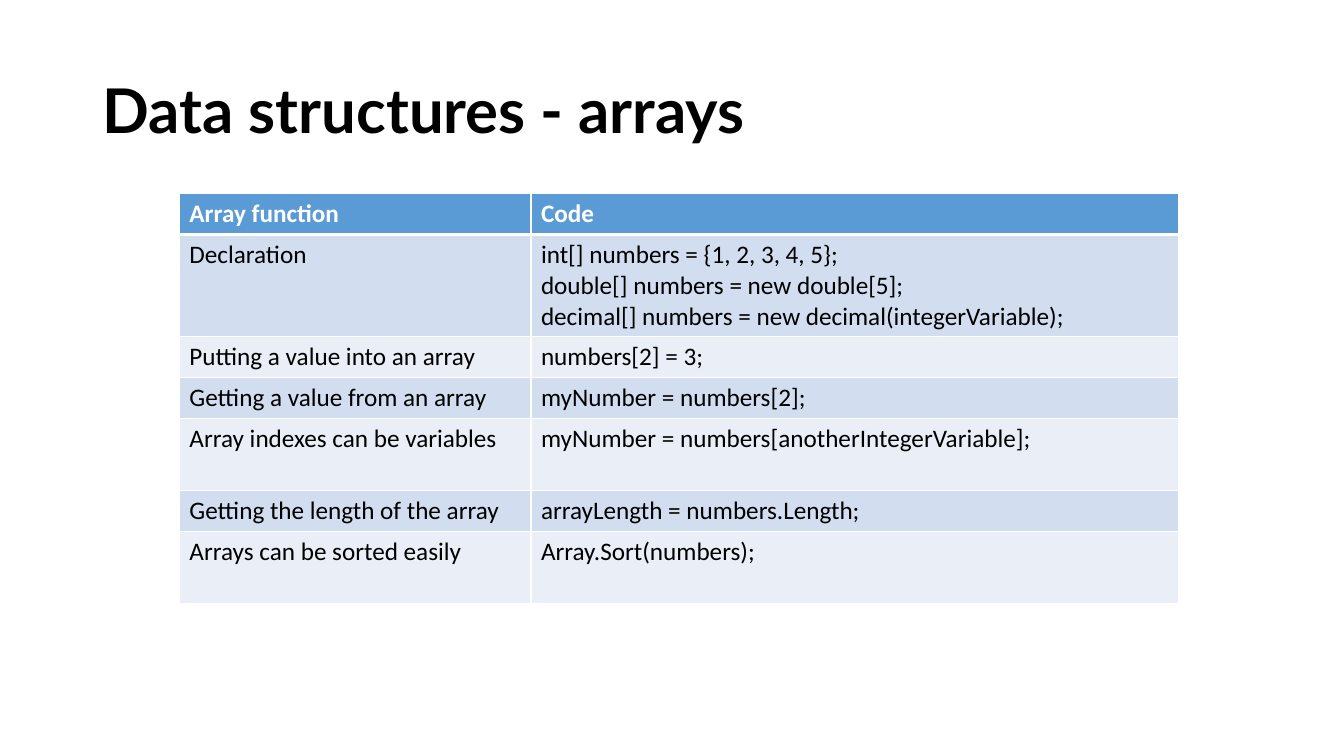
from dataclasses import dataclass

from lxml.etree import SubElement
from pptx import Presentation
from pptx.dml.color import RGBColor
from pptx.enum.text import MSO_ANCHOR
from pptx.oxml.ns import qn
from pptx.util import Cm, Pt


@dataclass(frozen=True)
class Theme:
    title_font: str = "Lato"
    table_font: str = "Calibri"
    title_size: int = 44
    table_size: int = 18
    text: str = "000000"
    header_text: str = "FFFFFF"
    header_fill: str = "5B9BD5"
    bands: tuple = ("D2DEEF", "EAEFF7")
    border: str = "FFFFFF"
    thin: int = 1
    thick: int = 3


THEME = Theme()
COLUMN_WIDTHS = (8.86, 16.31)
LINE_ROW, TWO_LINE_ROW, THREE_LINE_ROW = 1.03, 1.82, 2.57

# Row height in cm, array function, code
ARRAY_ROWS = (
    (LINE_ROW, "Array function", "Code"),
    (THREE_LINE_ROW, "Declaration",
     "int[] numbers = {1, 2, 3, 4, 5};\n"
     "double[] numbers = new double[5];\n"
     "decimal[] numbers = new decimal(integerVariable);"),
    (LINE_ROW, "Putting a value into an array", "numbers[2] = 3;"),
    (LINE_ROW, "Getting a value from an array", "myNumber = numbers[2];"),
    (TWO_LINE_ROW, "Array indexes can be variables",
     "myNumber = numbers[anotherIntegerVariable];"),
    (LINE_ROW, "Getting the length of the array", "arrayLength = numbers.Length;"),
    (TWO_LINE_ROW, "Arrays can be sorted easily", "Array.Sort(numbers);"),
)


def style_font(font, name, size, color, bold):
    font.name = name
    font.size = Pt(size)
    font.color.rgb = RGBColor.from_string(color)
    font.bold = bold


def add_title(slide, title):
    box = slide.shapes.add_textbox(Cm(2.34), Cm(1.02), Cm(29.21), Cm(3.68))
    frame = box.text_frame
    frame.word_wrap = True
    frame.vertical_anchor = MSO_ANCHOR.MIDDLE
    heading = frame.paragraphs[0]
    heading.text = title
    heading.line_spacing = 0.9
    style_font(heading.font, THEME.title_font, THEME.title_size, THEME.text, True)


def set_borders(cell, top, bottom):
    """Draw all four cell edges; top and bottom are widths in points."""
    properties = cell._tc.get_or_add_tcPr()
    widths = {"L": THEME.thin, "R": THEME.thin, "T": top, "B": bottom}
    for side, width in widths.items():
        edge = SubElement(properties, qn(f"a:ln{side}"), w=str(Pt(width)))
        fill = SubElement(edge, qn("a:solidFill"))
        SubElement(fill, qn("a:srgbClr"), val=THEME.border)


def fill_cell(cell, content, row_number):
    is_header = row_number == 0
    set_borders(
        cell,
        top=THEME.thick if row_number == 1 else THEME.thin,
        bottom=THEME.thick if is_header else THEME.thin,
    )
    background = THEME.header_fill if is_header else THEME.bands[(row_number - 1) % 2]
    cell.fill.solid()
    cell.fill.fore_color.rgb = RGBColor.from_string(background)
    cell.text = content
    color = THEME.header_text if is_header else THEME.text
    for line in cell.text_frame.paragraphs:
        style_font(line.font, THEME.table_font, THEME.table_size, color, is_header)


def add_array_table(slide, rows):
    table = slide.shapes.add_table(
        len(rows), len(COLUMN_WIDTHS), Cm(4.52), Cm(4.88),
        Cm(sum(COLUMN_WIDTHS)), Cm(sum(height for height, *_ in rows)),
    ).table
    for column, width in zip(table.columns, COLUMN_WIDTHS):
        column.width = Cm(width)
    for row_number, (height, *contents) in enumerate(rows):
        table.rows[row_number].height = Cm(height)
        for cell, content in zip(table.rows[row_number].cells, contents):
            fill_cell(cell, content, row_number)


def main():
    presentation = Presentation()
    presentation.slide_width = Cm(33.87)
    presentation.slide_height = Cm(19.05)
    slide = presentation.slides.add_slide(presentation.slide_layouts[6])
    add_title(slide, "Data structures - arrays")
    add_array_table(slide, ARRAY_ROWS)
    presentation.save("out.pptx")


if __name__ == "__main__":
    main()
